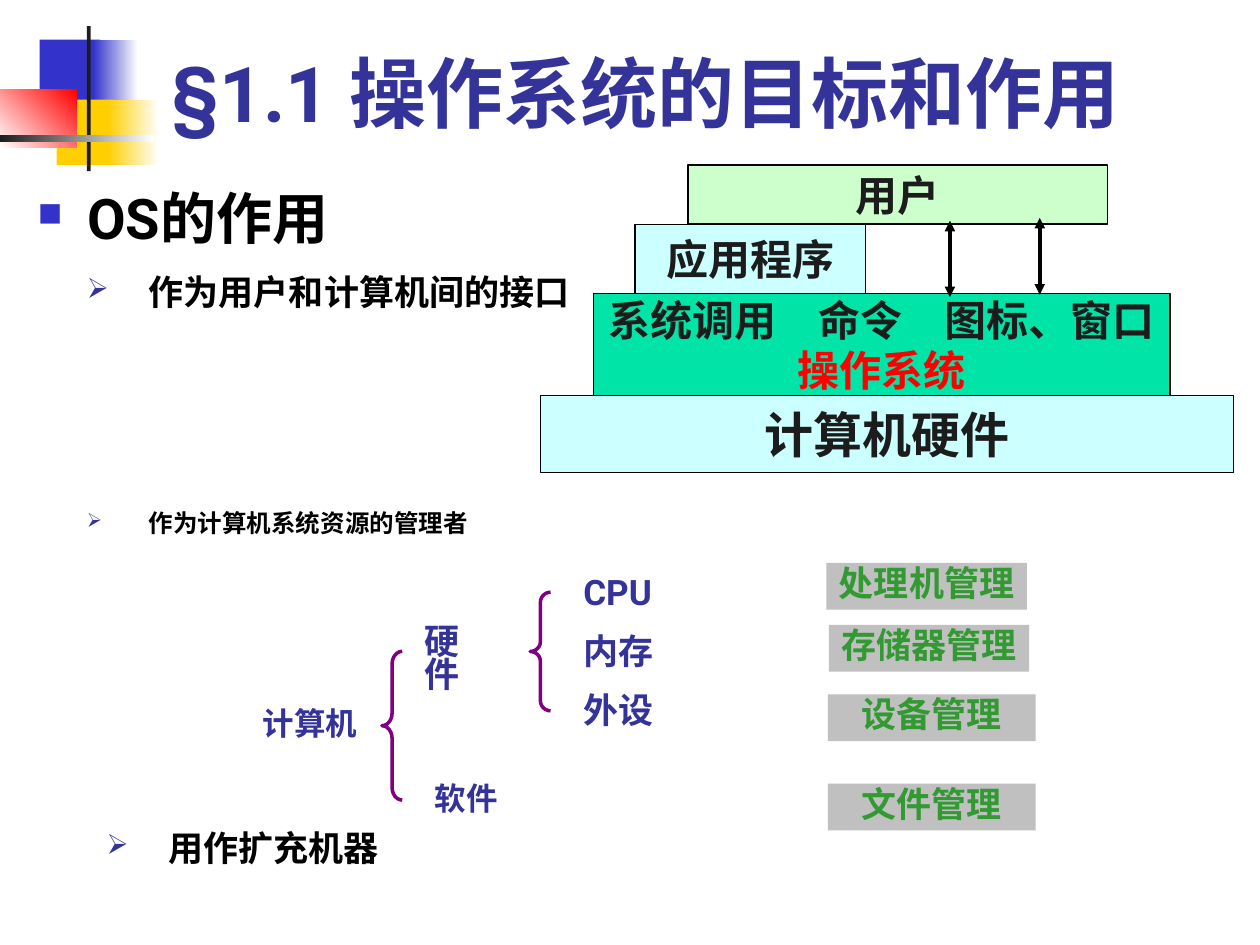
"""Build the slide on the goals and roles of an operating system."""
import lxml.etree
import pptx
import pptx.dml.color
import pptx.enum.shapes
import pptx.enum.text
import pptx.oxml.ns
import pptx.util

Cm = pptx.util.Cm
RGBColor = pptx.dml.color.RGBColor
SHAPES = pptx.enum.shapes.MSO_SHAPE
ALIGN = pptx.enum.text.PP_ALIGN
ANCHOR = pptx.enum.text.MSO_ANCHOR
qn = pptx.oxml.ns.qn

FONT = "Roboto"
BLACK = RGBColor(0x00, 0x00, 0x00)
WHITE = RGBColor(0xFF, 0xFF, 0xFF)
INK = RGBColor(0x1C, 0x1C, 0x1C)
RED = RGBColor(0xFF, 0x00, 0x00)
BLUE = RGBColor(0x33, 0x33, 0xCC)
NAVY = RGBColor(0x33, 0x33, 0x99)
YELLOW = RGBColor(0xFF, 0xCF, 0x01)
PALE_GREEN = RGBColor(0xCC, 0xFF, 0xCC)
PALE_CYAN = RGBColor(0xCC, 0xFF, 0xFF)
TEAL = RGBColor(0x00, 0xE4, 0xA8)
GREY = RGBColor(0xC0, 0xC0, 0xC0)
GREEN = RGBColor(0x33, 0x99, 0x33)
PURPLE = RGBColor(0x80, 0x00, 0x80)


def set_format(target, values):
    for name, value in values.items():
        setattr(target, name, value)


def add_rectangle(slide, box, fill, fade_to=None, angle=0, outlined=False):
    shape = slide.shapes.add_shape(SHAPES.RECTANGLE, *map(Cm, box))
    shape.shadow.inherit = False
    if fade_to is None:
        shape.fill.solid()
        shape.fill.fore_color.rgb = fill
    else:
        shape.fill.gradient()
        shape.fill.gradient_angle = angle
        for stop, color in zip(shape.fill.gradient_stops, (fill, fade_to)):
            stop.color.rgb = color
    if outlined:
        shape.line.color.rgb = BLACK
        shape.line.width = pptx.util.Pt(0.75)
    else:
        shape.line.fill.background()
    return shape


def write_text(shape, lines, size, paragraph_format, wrap=True, anchor=ANCHOR.TOP):
    frame = shape.text_frame
    set_format(frame, {
        "word_wrap": wrap, "vertical_anchor": anchor,
        "margin_left": Cm(0.25), "margin_right": Cm(0.25),
        "margin_top": Cm(0.13), "margin_bottom": Cm(0.13),
    })
    for index, (text, color) in enumerate(lines):
        paragraph = frame.add_paragraph() if index else frame.paragraphs[0]
        set_format(paragraph, {"alignment": ALIGN.LEFT, **paragraph_format})
        run = paragraph.add_run()
        run.text = text
        set_format(run.font, {"name": FONT, "size": pptx.util.Pt(size), "bold": True})
        run.font.color.rgb = color


def add_text(slide, box, text, size, color, paragraph_format, **frame_format):
    shape = slide.shapes.add_textbox(*map(Cm, box))
    write_text(shape, [(text, color)], size, paragraph_format, **frame_format)
    return shape


def add_bullet(slide, box, text, size, paragraph_format, mark="➢",
               color=NAVY, percent=80, indent=1.25):
    shape = add_text(slide, box, text, size, BLACK, paragraph_format)
    properties = shape.text_frame.paragraphs[0]._p.get_or_add_pPr()
    properties.set("marL", str(Cm(indent)))
    properties.set("indent", str(-Cm(indent)))
    bullet_color = lxml.etree.SubElement(properties, qn("a:buClr"))
    lxml.etree.SubElement(bullet_color, qn("a:srgbClr"), val=str(color))
    lxml.etree.SubElement(properties, qn("a:buSzPct"), val=str(percent * 1000))
    lxml.etree.SubElement(properties, qn("a:buChar"), char=mark)


def add_double_arrow(slide, x, top, bottom):
    arrow = slide.shapes.add_connector(
        pptx.enum.shapes.MSO_CONNECTOR.STRAIGHT, Cm(x), Cm(top), Cm(x), Cm(bottom))
    arrow.line.color.rgb = BLACK
    arrow.line.width = pptx.util.Pt(2)
    line = arrow.line._get_or_add_ln()
    for end in ("a:headEnd", "a:tailEnd"):
        lxml.etree.SubElement(line, qn(end), type="triangle")
    lxml.etree.SubElement(arrow._element.spPr, qn("a:effectLst"))


def add_brace(slide, box, curve):
    brace = slide.shapes.add_shape(SHAPES.LEFT_BRACE, *map(Cm, box))
    brace.shadow.inherit = False
    brace.adjustments[0] = curve
    brace.fill.background()
    brace.line.color.rgb = PURPLE
    brace.line.width = pptx.util.Pt(2)


def add_decoration(slide):
    for box, *fill in (
        ((0.8, 0.8, 1.22, 1.32), BLUE),
        ((1.88, 0.8, 0.9, 1.32), BLUE, WHITE),
        ((1.14, 2.01, 1.17, 1.32), YELLOW),
        ((2.18, 2.01, 1.02, 1.32), YELLOW, WHITE),
        ((0, 1.8, 1.55, 1.17), WHITE, RED, 45),
        ((1.75, 0.53, 0.08, 2.92), INK),
        ((0, 2.72, 3.1, 0.15), INK, WHITE),
    ):
        add_rectangle(slide, box, *fill)


def add_layers(slide):
    top = 3.33
    for left, width, height, fill, size, lines in (
        (13.87, 8.46, 1.19, PALE_GREEN, 24, [("用户", INK)]),
        (12.8, 4.65, 1.4, PALE_CYAN, 24, [("应用程序", INK)]),
        (11.96, 11.63, 2.06, TEAL, 24,
         [("系统调用　命令　图标、窗口", INK), ("操作系统", RED)]),
        (10.9, 13.97, 1.55, PALE_CYAN, 28, [("计算机硬件", INK)]),
    ):
        layer = add_rectangle(slide, (left, top, width, height), fill, outlined=True)
        write_text(layer, lines, size, {"alignment": ALIGN.CENTER},
                   wrap=False, anchor=ANCHOR.MIDDLE)
        top += height
    add_double_arrow(slide, 19.15, 4.45, 5.99)
    add_double_arrow(slide, 20.96, 4.39, 5.94)


def add_resource_tree(slide):
    devices = [(11.51, 11.53 + 1.19 * row, 1.92, 20, text)
               for row, text in enumerate(("CPU", "内存", "外设"))]
    for left, top, width, size, text in (
        (5.05, 14.2, 2.84, 18, "计算机"),
        (8.31, 12.52, 1.91, 20, "硬件"),
        (8.51, 15.72, 1.78, 18, "软件"),
        *devices,
    ):
        spacing = {"line_spacing": 0.8, "space_before": pptx.util.Pt(size / 4)}
        add_text(slide, (left, top, width, 0.94), text, size, NAVY, spacing,
                 wrap=text == "计算机")
    add_brace(slide, (7.7, 13.13, 0.41, 3), 0.62)
    add_brace(slide, (10.69, 11.94, 0.41, 2.39), 0.49)


def add_managers(slide):
    for left, top, width, text in (
        (16.66, 11.35, 4.04, "处理机管理"),
        (16.71, 12.6, 4.04, "存储器管理"),
        (16.69, 14, 4.19, "设备管理"),
        (16.69, 15.8, 4.19, "文件管理"),
    ):
        label = add_rectangle(slide, (left, top, width, 0.94), GREY)
        write_text(label, [(text, GREEN)], 20, {
            "alignment": ALIGN.CENTER, "line_spacing": 0.8,
            "space_before": pptx.util.Pt(5)})


def main():
    presentation = pptx.Presentation()
    set_format(presentation, {"slide_width": Cm(25.4), "slide_height": Cm(19.05)})
    slide = presentation.slides.add_slide(presentation.slide_layouts[6])
    add_decoration(slide)
    add_text(slide, (3.2, 0.91, 21.64, 2.01), "§1.1 操作系统的目标和作用",
             44, NAVY, {}, anchor=ANCHOR.BOTTOM)
    add_bullet(slide, (0.51, 3.73, 11, 1.6), "OS的作用", 32,
               {"line_spacing": 0.9, "space_before": pptx.util.Pt(8)},
               mark="■", color=BLUE, percent=60, indent=1)
    add_bullet(slide, (1.5, 5.33, 13.49, 1.4), "作为用户和计算机间的接口", 20, {})
    add_bullet(slide, (1.5, 9.93, 8.2, 1.6), "作为计算机系统资源的管理者", 14,
               {"line_spacing": 1.3})
    add_bullet(slide, (1.9, 16.54, 9.91, 1.6), "用作扩充机器", 20, {})
    add_layers(slide)
    add_resource_tree(slide)
    add_managers(slide)
    presentation.save("out.pptx")


if __name__ == "__main__":
    main()
